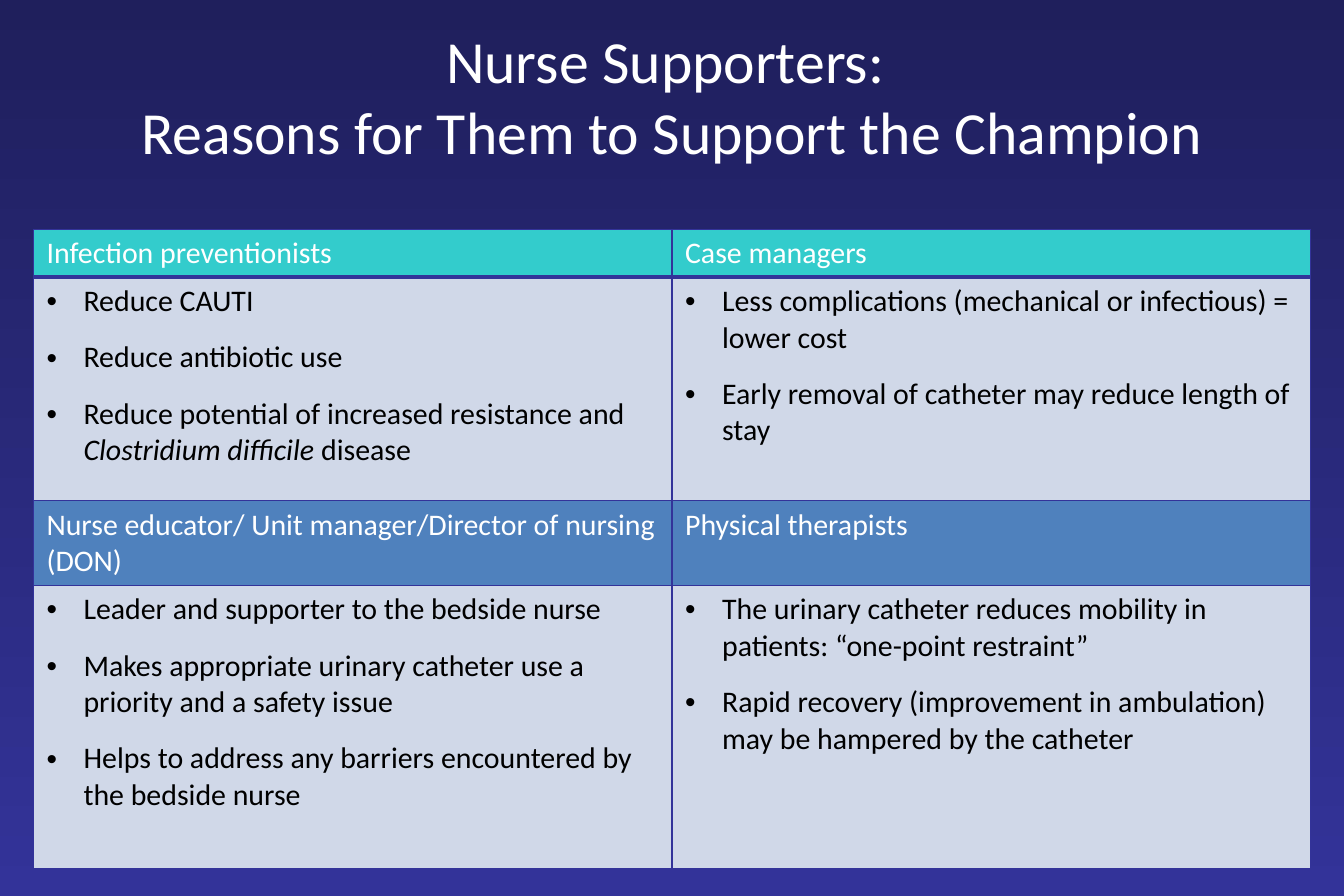
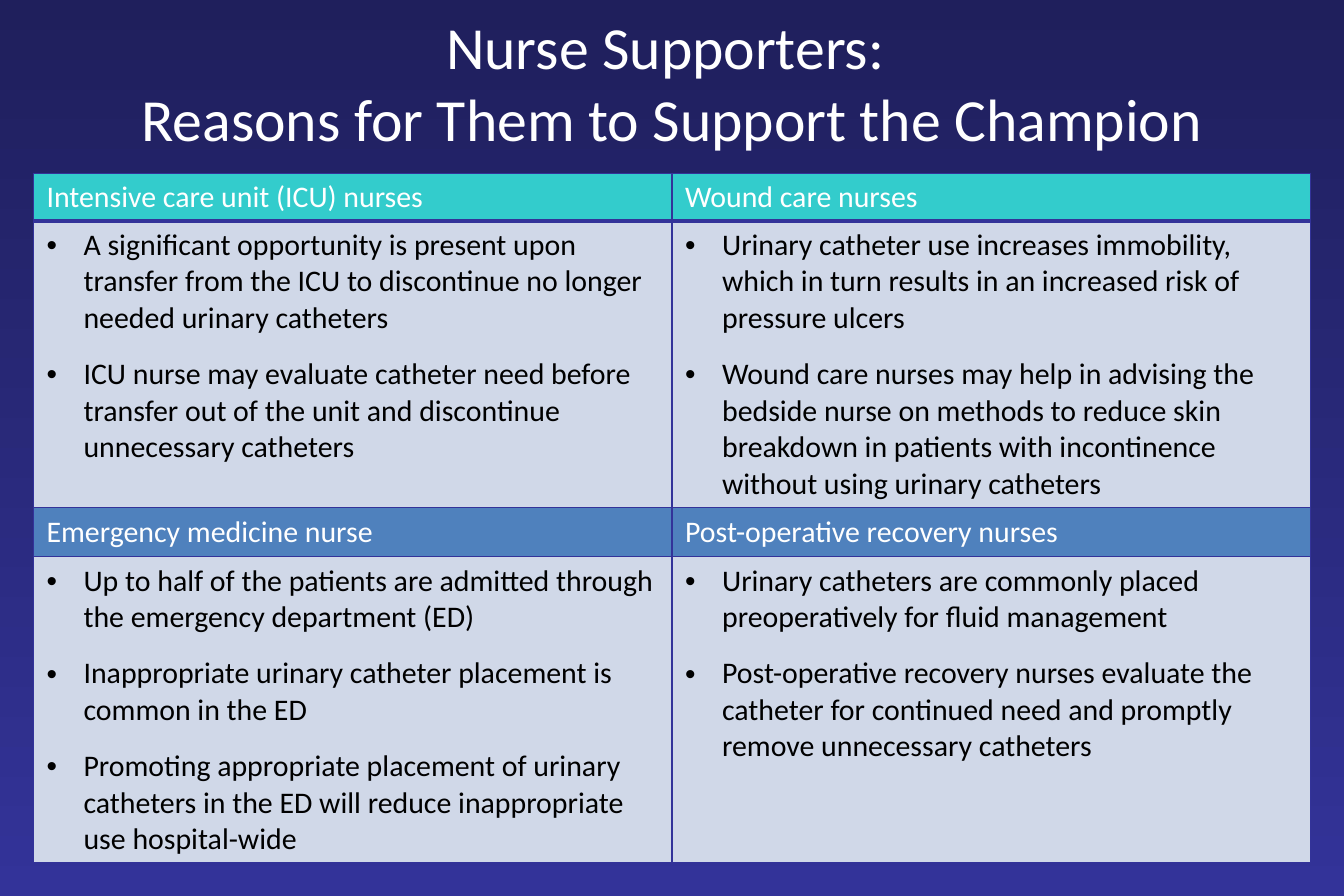
from lxml import etree
from pptx import Presentation
from pptx.dml.color import RGBColor
from pptx.enum.text import MSO_ANCHOR, PP_ALIGN
from pptx.oxml.ns import qn
from pptx.util import Inches, Pt

W, H = 11.25, 7.5
MARGIN = 0.28
FONT = "Calibri"
COLORS = {"night": "1F1F5C", "indigo": "333399", "teal": "33CCCC", "blue": "4F81BD",
          "pale": "D0D8E8", "white": "FFFFFF", "black": "000000"}
TITLE = "Nurse Supporters: \vReasons for Them to Support the Champion"

SLIDES = [
    {
        "title_height": 1.25,
        "table_top": 1.92,
        "rows": [0.4, 1.87, 0.71, 2.37],
        "groups": [
            [("Infection preventionists",
              ["Reduce CAUTI",
               "Reduce antibiotic use",
               ("Reduce potential of increased resistance and ",
                "Clostridium difficile ", "disease")]),
             ("Case managers",
              ["Less complications (mechanical or infectious) = lower cost",
               "Early removal of catheter may reduce length of stay"])],
            [("Nurse educator/ Unit manager/Director of nursing (DON)",
              ["Leader and supporter to the bedside nurse",
               "Makes appropriate urinary catheter use a priority and a safety issue",
               "Helps to address any barriers encountered by the bedside nurse"]),
             ("Physical therapists",
              ["The urinary catheter reduces mobility in patients: “one-point restraint”",
               "Rapid recovery (improvement in ambulation) may be hampered by the catheter"])],
        ],
    },
    {
        "title_height": 1.02,
        "table_top": 1.45,
        "rows": [0.4, 2.4, 0.41, 2.56],
        "groups": [
            [("Intensive care unit (ICU) nurses",
              ["A significant opportunity is present upon transfer from the ICU to "
               "discontinue no longer needed urinary catheters",
               "ICU nurse may evaluate catheter need before transfer out of the unit "
               "and discontinue unnecessary catheters"]),
             ("Wound care nurses",
              ["Urinary catheter use increases immobility, which in turn results in an "
               "increased risk of pressure ulcers",
               "Wound care nurses may help in advising the bedside nurse on methods to "
               "reduce skin breakdown in patients with incontinence without using "
               "urinary catheters"])],
            [("Emergency medicine nurse",
              ["Up to half of the patients are admitted through the emergency department (ED)",
               "Inappropriate urinary catheter placement is common in the ED",
               "Promoting appropriate placement of urinary catheters in the ED will "
               "reduce inappropriate use hospital-wide"]),
             ("Post-operative recovery nurses",
              ["Urinary catheters are commonly placed preoperatively for fluid management",
               "Post-operative recovery nurses evaluate the catheter for continued need "
               "and promptly remove unnecessary catheters"])],
        ],
    },
]


def rgb(name):
    return RGBColor.from_string(COLORS[name])


def format_runs(p, size, color):
    for r in p.runs:
        r.font.name = FONT
        r.font.size = Pt(size)
        r.font.bold = False
        r.font.color.rgb = rgb(color)


def add_bullet(p):
    pPr = p._p.get_or_add_pPr()
    pPr.set("marL", str(Inches(0.31)))
    pPr.set("indent", str(-Inches(0.31)))
    etree.SubElement(pPr, qn("a:buFont"), typeface="Arial")
    etree.SubElement(pPr, qn("a:buChar"), char="•")


def set_borders(cell, top, bottom):
    tcPr = cell._tc.get_or_add_tcPr()
    for side, width in (("L", 1), ("R", 1), ("T", top), ("B", bottom)):
        ln = etree.SubElement(tcPr, qn(f"a:ln{side}"), w=str(Pt(width)))
        fill = etree.SubElement(ln, qn("a:solidFill"))
        etree.SubElement(fill, qn("a:srgbClr"), val=COLORS["indigo"])


def style_cell(cell, row, fill):
    set_borders(cell, 3 if row == 1 else 1, 3 if row == 0 else 1)
    cell.fill.solid()
    cell.fill.fore_color.rgb = rgb(fill)
    cell.margin_left = cell.margin_right = Inches(0.11)
    cell.margin_top = cell.margin_bottom = Inches(0.05)
    cell.vertical_anchor = MSO_ANCHOR.TOP


def fill_reasons(cell, reasons):
    tf = cell.text_frame
    for i, reason in enumerate(reasons):
        p = tf.paragraphs[0] if i == 0 else tf.add_paragraph()
        add_bullet(p)
        if i:
            p.space_before = Pt(12)
        parts = (reason,) if isinstance(reason, str) else reason
        for j, part in enumerate(parts):
            r = p.add_run()
            r.text = part
            r.font.italic = j == 1
        format_runs(p, 18, "black")


def add_title(s, height):
    tf = s.shapes.add_textbox(0, Inches(0.17), Inches(W), Inches(height)).text_frame
    tf.word_wrap = True
    tf.vertical_anchor = MSO_ANCHOR.MIDDLE
    p = tf.paragraphs[0]
    p.text = TITLE
    p.alignment = PP_ALIGN.CENTER
    format_runs(p, 36, "white")


def add_supporters(s, top, rows, groups):
    table = s.shapes.add_table(len(rows), 2, Inches(MARGIN), Inches(top),
                               Inches(W - 2 * MARGIN), Inches(sum(rows))).table
    table.first_row = table.horz_banding = False
    for row, height in zip(table.rows, rows):
        row.height = Inches(height)
    for g, group in enumerate(groups):
        for col, (role, reasons) in enumerate(group):
            head, body = table.cell(2 * g, col), table.cell(2 * g + 1, col)
            style_cell(head, 2 * g, ("teal", "blue")[g])
            style_cell(body, 2 * g + 1, "pale")
            head.text_frame.text = role
            format_runs(head.text_frame.paragraphs[0], 18, "white")
            fill_reasons(body, reasons)


def main():
    prs = Presentation()
    prs.slide_width, prs.slide_height = Inches(W), Inches(H)
    background = prs.slide_master.background.fill
    background.gradient()
    background.gradient_angle = 270
    for stop, name in zip(background.gradient_stops, ("night", "indigo")):
        stop.color.rgb = rgb(name)
    for content in SLIDES:
        s = prs.slides.add_slide(prs.slide_layouts[6])
        add_title(s, content["title_height"])
        add_supporters(s, content["table_top"], content["rows"], content["groups"])
    prs.save("out.pptx")


if __name__ == "__main__":
    main()
